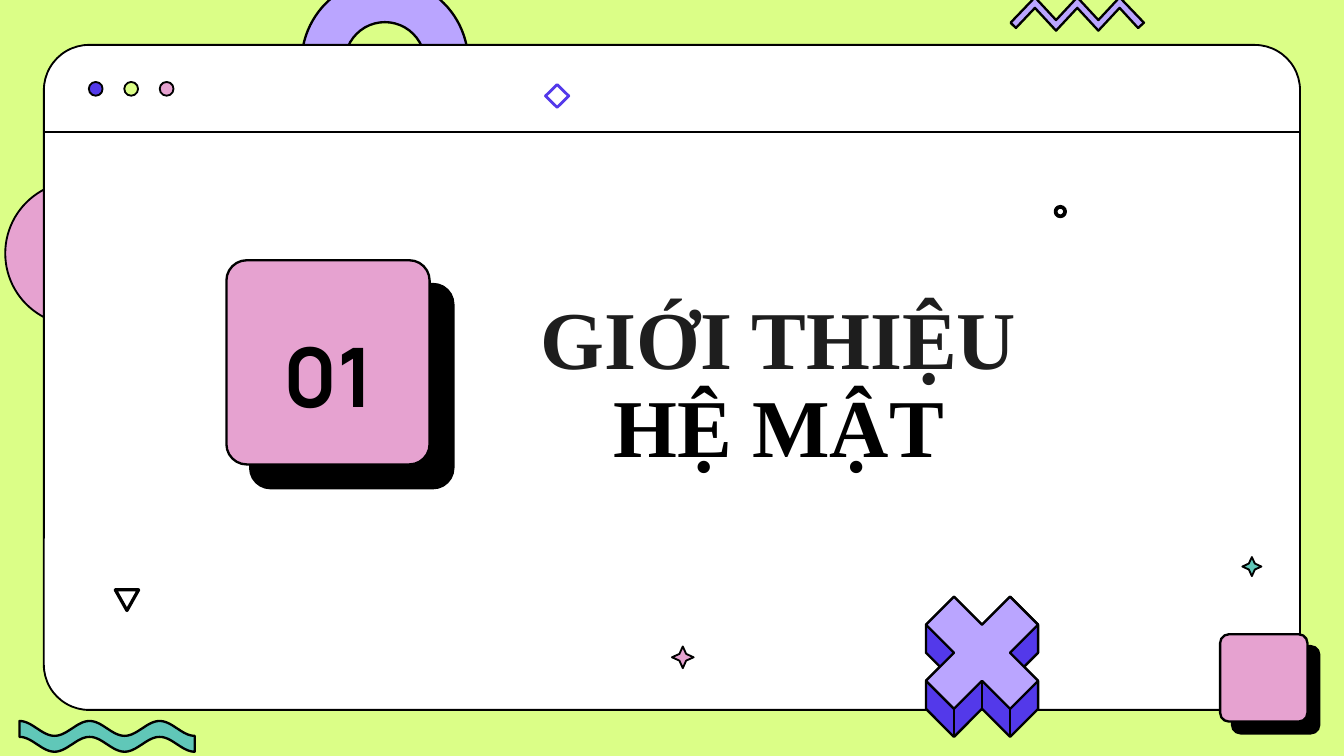
import math
from dataclasses import dataclass
from typing import Optional

from lxml import etree
from pptx import Presentation
from pptx import util as u
from pptx.dml.color import RGBColor
from pptx.enum import shapes, text
from pptx.oxml import ns

LIME = RGBColor(0xDB, 0xFE, 0x87)
LILAC = RGBColor(0xBA, 0xA5, 0xFF)
VIOLET = RGBColor(0x53, 0x39, 0xEA)
PINK = RGBColor(0xE6, 0xA2, 0xD0)
TEAL = RGBColor(0x60, 0xC7, 0xB8)
WHITE = RGBColor(0xFF, 0xFF, 0xFF)
BLACK = RGBColor(0x00, 0x00, 0x00)
CHARCOAL = RGBColor(0x1E, 0x1E, 0x1E)

PRESET = shapes.MSO_SHAPE


@dataclass
class Figure:
    """A preset shape; lengths in centimetres, line and shadow in points."""
    preset: shapes.MSO_SHAPE
    left: float
    top: float
    width: float
    height: float
    fill: Optional[RGBColor]
    line: RGBColor = BLACK
    weight: float = 1
    adjust: Optional[float] = None
    shadow: float = 0


BACKDROP = [
    Figure(PRESET.BLOCK_ARC, 5.7, -0.4, 3.15, 3.15, LILAC, weight=1.25, adjust=0.26),
    Figure(PRESET.OVAL, 0.1, 3.43, 2.72, 2.72, PINK),
    Figure(PRESET.ROUNDED_RECTANGLE, 0.83, 0.85, 23.74, 12.57, WHITE, adjust=0.068),
]
WINDOW_DOTS = [
    Figure(PRESET.OVAL, 1.68 + 0.67 * index, 1.55, 0.26, 0.26, color)
    for index, color in enumerate((VIOLET, LIME, PINK))
]
TILES = [
    Figure(PRESET.ROUNDED_RECTANGLE, 4.28, 4.92, 3.84, 3.86, PINK,
           weight=1.25, adjust=0.1, shadow=18),
    Figure(PRESET.ROUNDED_RECTANGLE, 23.06, 11.99, 1.65, 1.65, PINK,
           weight=1.25, adjust=0.1, shadow=9),
]
SMALL_MARKS = [
    Figure(PRESET.STAR_4_POINT, 12.7, 12.22, 0.41, 0.41, PINK, adjust=0.22),
    Figure(PRESET.STAR_4_POINT, 23.48, 10.53, 0.36, 0.36, TEAL, adjust=0.22),
    Figure(PRESET.FLOWCHART_MERGE, 2.18, 11.15, 0.44, 0.39, None, weight=1.75),
    Figure(PRESET.DIAMOND, 10.31, 1.6, 0.44, 0.43, None, VIOLET, 1.5),
    Figure(PRESET.OVAL, 19.95, 3.91, 0.18, 0.18, None, weight=2),
]


def paint(shape, fill: Optional[RGBColor], line: RGBColor, weight: float) -> None:
    shape.shadow.inherit = False
    if fill is None:
        shape.fill.background()
    else:
        shape.fill.solid()
        shape.fill.fore_color.rgb = fill
    shape.line.color.rgb = line
    shape.line.width = u.Pt(weight)


def add_figure(slide, figure: Figure) -> None:
    shape = slide.shapes.add_shape(
        figure.preset, u.Cm(figure.left), u.Cm(figure.top),
        u.Cm(figure.width), u.Cm(figure.height))
    if figure.adjust is not None:
        shape.adjustments[len(shape.adjustments) - 1] = figure.adjust
    paint(shape, figure.fill, figure.line, figure.weight)
    if figure.shadow:
        effects = shape._element.spPr.find(ns.qn("a:effectLst"))
        shadow = etree.SubElement(
            effects, ns.qn("a:outerShdw"), dist=str(u.Pt(figure.shadow)),
            dir="2700000", algn="bl", rotWithShape="0")
        etree.SubElement(shadow, ns.qn("a:srgbClr"), val=str(BLACK))


def add_outline(slide, points: list, fill: RGBColor) -> None:
    corners = [(u.Cm(x), u.Cm(y)) for x, y in points]
    builder = slide.shapes.build_freeform(*corners[0])
    builder.add_line_segments(corners[1:], close=True)
    paint(builder.convert_to_shape(), fill, BLACK, 1.25)


def add_line(slide, start: tuple, end: tuple, weight: float) -> None:
    connector = slide.shapes.add_connector(
        shapes.MSO_CONNECTOR.STRAIGHT, *(u.Cm(value) for value in start + end))
    connector.line.color.rgb = BLACK
    connector.line.width = u.Pt(weight)
    etree.SubElement(connector._element.spPr, ns.qn("a:effectLst"))


def add_cross(slide, left: float, top: float, step: float) -> None:
    """A diagonal cross with depth, laid out on a square grid."""
    def place(points: list) -> list:
        return [(left + step * x, top + step * y) for x, y in points]

    sides = [(3, 0), (4, 1), (4, 2), (3.5, 2.5), (4, 3), (4, 4), (3, 5), (2, 4),
             (1, 5), (0, 4), (0, 3), (0.5, 2.5), (0, 2), (0, 1), (1, 0), (2, 1)]
    face = [(3, 0), (4, 1), (3, 2), (4, 3), (3, 4), (2, 3),
            (1, 4), (0, 3), (1, 2), (0, 1), (1, 0), (2, 1)]
    add_outline(slide, place(sides), VIOLET)
    add_outline(slide, place(face), LILAC)
    for x, y in ((1, 4), (2, 3), (3, 4)):
        add_line(slide, *place([(x, y), (x, y + 1)]), 1.25)


def add_wave(slide, left: float, top: float, width: float) -> None:
    """A ribbon of two and a half cosine waves."""
    steps, swing, thickness = 100, 0.14, 0.3
    crest = [(left + width * index / steps,
              top + swing * (1 - math.cos(5 * math.pi * index / steps)))
             for index in range(steps + 1)]
    base = [(x, y + thickness) for x, y in reversed(crest)]
    add_outline(slide, crest + base, TEAL)


def add_zigzag(slide) -> None:
    crest = [(19.56 + 0.4 * index, 0.38 if index % 2 else -0.05) for index in range(5)]
    base = [(x, y + 0.2) for x, y in reversed(crest)]
    add_outline(slide, [(19.1, 0.43), *crest, (21.62, 0.43),
                        (21.51, 0.53), *base, (19.2, 0.53)], LILAC)


def prepare_placeholder(slide, placeholder, box: tuple, anchor, font_name: str):
    """Place a placeholder in front and return its formatted paragraph."""
    slide.shapes._spTree.append(placeholder._element)
    placeholder.left, placeholder.top, placeholder.width, placeholder.height = map(u.Cm, box)
    frame = placeholder.text_frame
    frame.auto_size = text.MSO_AUTO_SIZE.NONE
    frame.word_wrap = True
    frame.vertical_anchor = anchor
    paragraph = frame.paragraphs[0]
    paragraph.alignment = text.PP_ALIGN.CENTER
    paragraph.line_spacing = 0.9
    paragraph.font.name = font_name
    paragraph.font.size = u.Pt(44)
    paragraph.font.bold = True
    paragraph.font.color.rgb = BLACK
    return paragraph


def main() -> None:
    presentation = Presentation()
    presentation.slide_width, presentation.slide_height = u.Cm(25.4), u.Cm(14.29)
    slide = presentation.slides.add_slide(presentation.slide_layouts[1])
    slide.background.fill.solid()
    slide.background.fill.fore_color.rgb = LIME

    # Window and decorations
    for figure in BACKDROP:
        add_figure(slide, figure)
    add_line(slide, (0.83, 2.5), (24.57, 2.5), 1)
    for figure in WINDOW_DOTS + TILES + SMALL_MARKS:
        add_figure(slide, figure)
    add_cross(slide, 17.5, 11.28, 0.53)
    add_wave(slide, 0.37, 13.63, 3.31)
    add_zigzag(slide)

    # Section title
    title = prepare_placeholder(slide, slide.shapes.title, (9.27, 4.78, 10.9, 4.34),
                                text.MSO_ANCHOR.BOTTOM, "Times New Roman")
    first_line = title.add_run()
    first_line.text = "GIỚI THIỆU"
    first_line.font.color.rgb = CHARCOAL
    title.add_line_break()
    title.add_run().text = "HỆ MẬT"

    # Section number
    number = prepare_placeholder(slide, slide.placeholders[1], (4.29, 6.2, 3.84, 2.01),
                                 text.MSO_ANCHOR.MIDDLE, "Manrope")
    number.space_before = u.Pt(7.5)
    number.add_run().text = "01"
    properties = number._p.get_or_add_pPr()
    properties.set("marL", "0")
    properties.set("indent", "0")
    bullet = etree.Element(ns.qn("a:buNone"))
    properties.find(ns.qn("a:defRPr")).addprevious(bullet)

    presentation.save("out.pptx")


if __name__ == "__main__":
    main()
